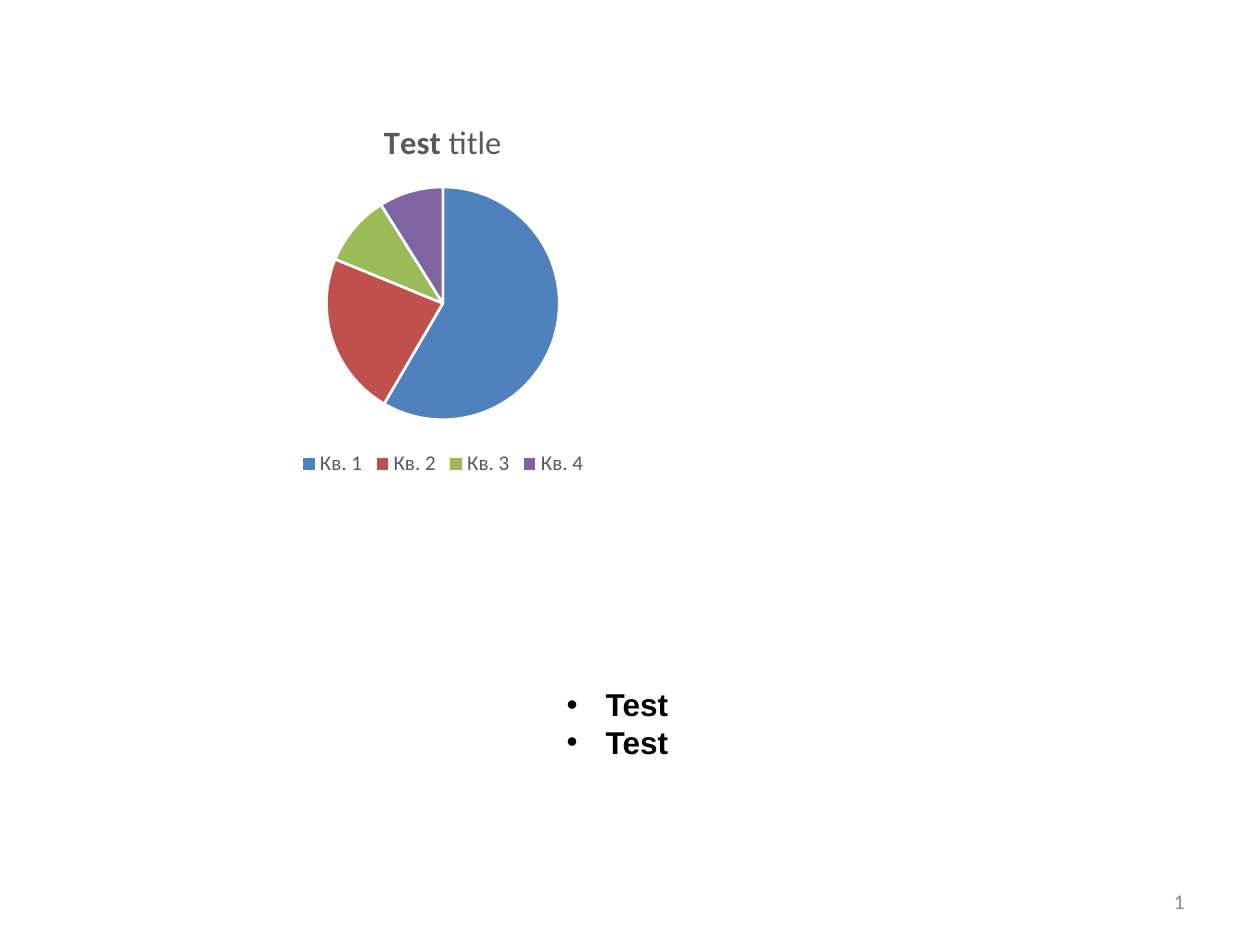
from dataclasses import dataclass

import pptx
import pptx.chart.data
import pptx.dml.color
import pptx.enum.chart
import pptx.enum.text
import pptx.oxml.ns
import pptx.slide
import pptx.util
from lxml import etree

Inches = pptx.util.Inches
Pt = pptx.util.Pt
RGBColor = pptx.dml.color.RGBColor
Align = pptx.enum.text.PP_ALIGN
Anchor = pptx.enum.text.MSO_ANCHOR

BLACK = RGBColor(0x00, 0x00, 0x00)
WHITE = RGBColor(0xFF, 0xFF, 0xFF)
DARK_GRAY = RGBColor(0x59, 0x59, 0x59)
NUMBER_GRAY = RGBColor(0x89, 0x89, 0x89)
BLUE = RGBColor(0x4F, 0x81, 0xBD)
RED = RGBColor(0xC0, 0x50, 0x4D)
GREEN = RGBColor(0x9B, 0xBB, 0x59)
PURPLE = RGBColor(0x80, 0x64, 0xA2)


@dataclass(frozen=True)
class Box:
    left: float
    top: float
    width: float
    height: float

    def lengths(self) -> tuple:
        return tuple(Inches(v) for v in (self.left, self.top, self.width, self.height))


@dataclass(frozen=True)
class TextStyle:
    name: str
    size: float
    color: RGBColor
    bold: bool = False


@dataclass(frozen=True)
class Quarter:
    label: str
    share: int
    color: RGBColor


@dataclass(frozen=True)
class TextBlock:
    box: Box
    lines: tuple
    style: TextStyle
    alignment: Align
    anchor: Anchor = Anchor.TOP
    bulleted: bool = False


QUARTERS = (
    Quarter("Кв. 1", 59, BLUE),
    Quarter("Кв. 2", 23, RED),
    Quarter("Кв. 3", 10, GREEN),
    Quarter("Кв. 4", 9, PURPLE),
)
CHART_BOX = Box(1.06, 0.81, 4.91, 3.01)
BULLET_LIST = TextBlock(
    Box(4.39, 5.39, 1.02, 0.71),
    ("Test", "Test"),
    TextStyle("Arial", 18, BLACK, True),
    Align.CENTER,
    bulleted=True,
)
SLIDE_NUMBER = TextBlock(
    Box(7.17, 6.95, 2.33, 0.4),
    ("1",),
    TextStyle("Calibri", 12, NUMBER_GRAY),
    Align.RIGHT,
    Anchor.MIDDLE,
)


def apply_style(font, style: TextStyle) -> None:
    font.name = style.name
    font.size = Pt(style.size)
    font.bold = style.bold
    font.color.rgb = style.color


def add_bullet(paragraph) -> None:
    properties = paragraph._p.get_or_add_pPr()
    indent = Inches(0.31)
    properties.set("marL", str(indent))
    properties.set("indent", str(-indent))
    qn = pptx.oxml.ns.qn
    etree.SubElement(properties, qn("a:buFont")).set("typeface", "Arial")
    etree.SubElement(properties, qn("a:buChar")).set("char", "•")


def add_text(slide: pptx.slide.Slide, block: TextBlock) -> None:
    text_frame = slide.shapes.add_textbox(*block.box.lengths()).text_frame
    text_frame.word_wrap = not block.bulleted
    if block.bulleted:
        text_frame.auto_size = pptx.enum.text.MSO_AUTO_SIZE.SHAPE_TO_FIT_TEXT
    text_frame.vertical_anchor = block.anchor
    text_frame.text = "\n".join(block.lines)
    for paragraph in text_frame.paragraphs:
        paragraph.alignment = block.alignment
        if block.bulleted:
            add_bullet(paragraph)
        for run in paragraph.runs:
            apply_style(run.font, block.style)


def add_pie(slide: pptx.slide.Slide, box: Box, quarters: tuple) -> None:
    data = pptx.chart.data.CategoryChartData()
    data.categories = [quarter.label for quarter in quarters]
    data.add_series("Series 1", [quarter.share for quarter in quarters])
    chart = slide.shapes.add_chart(
        pptx.enum.chart.XL_CHART_TYPE.PIE, *box.lengths(), data
    ).chart
    apply_style(chart.font, TextStyle("Calibri", 10, BLACK))

    chart.has_title = True
    paragraph = chart.chart_title.text_frame.paragraphs[0]
    for text, bold in (("Test", True), (" title", False)):
        run = paragraph.add_run()
        run.text = text
        apply_style(run.font, TextStyle("Calibri", 18.6, DARK_GRAY, bold))
    chart.chart_title.include_in_layout = False

    chart.has_legend = True
    chart.legend.position = pptx.enum.chart.XL_LEGEND_POSITION.BOTTOM
    chart.legend.include_in_layout = False
    apply_style(chart.legend.font, TextStyle("Calibri", 12, DARK_GRAY))

    plot = chart.plots[0]
    plot.vary_by_categories = True
    for index, quarter in enumerate(quarters):
        point_format = plot.series[0].points[index].format
        point_format.fill.solid()
        point_format.fill.fore_color.rgb = quarter.color
        point_format.line.color.rgb = WHITE
        point_format.line.width = Pt(1.5)


def main() -> None:
    presentation = pptx.Presentation()
    presentation.slide_width = Inches(10)
    presentation.slide_height = Inches(7.5)
    slide = presentation.slides.add_slide(presentation.slide_layouts[6])
    add_text(slide, BULLET_LIST)
    add_pie(slide, CHART_BOX, QUARTERS)
    add_text(slide, SLIDE_NUMBER)
    presentation.save("out.pptx")


if __name__ == "__main__":
    main()
